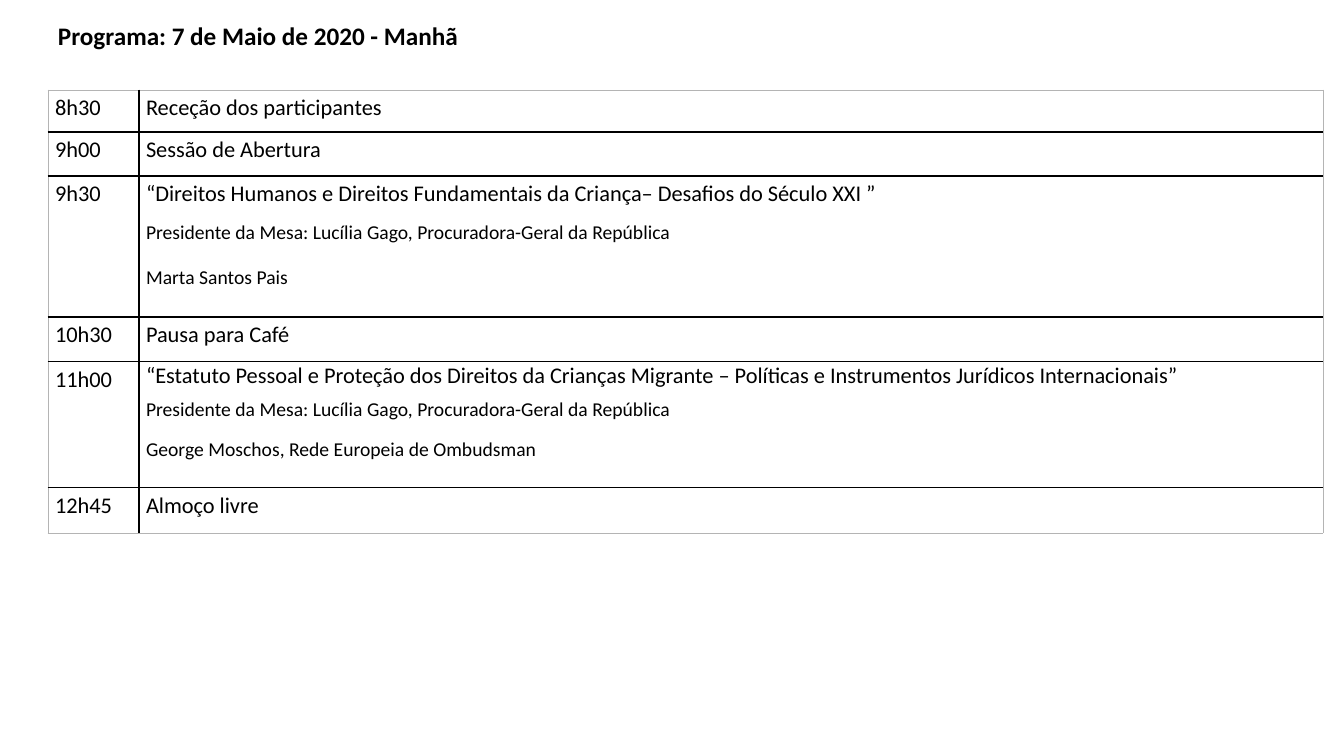
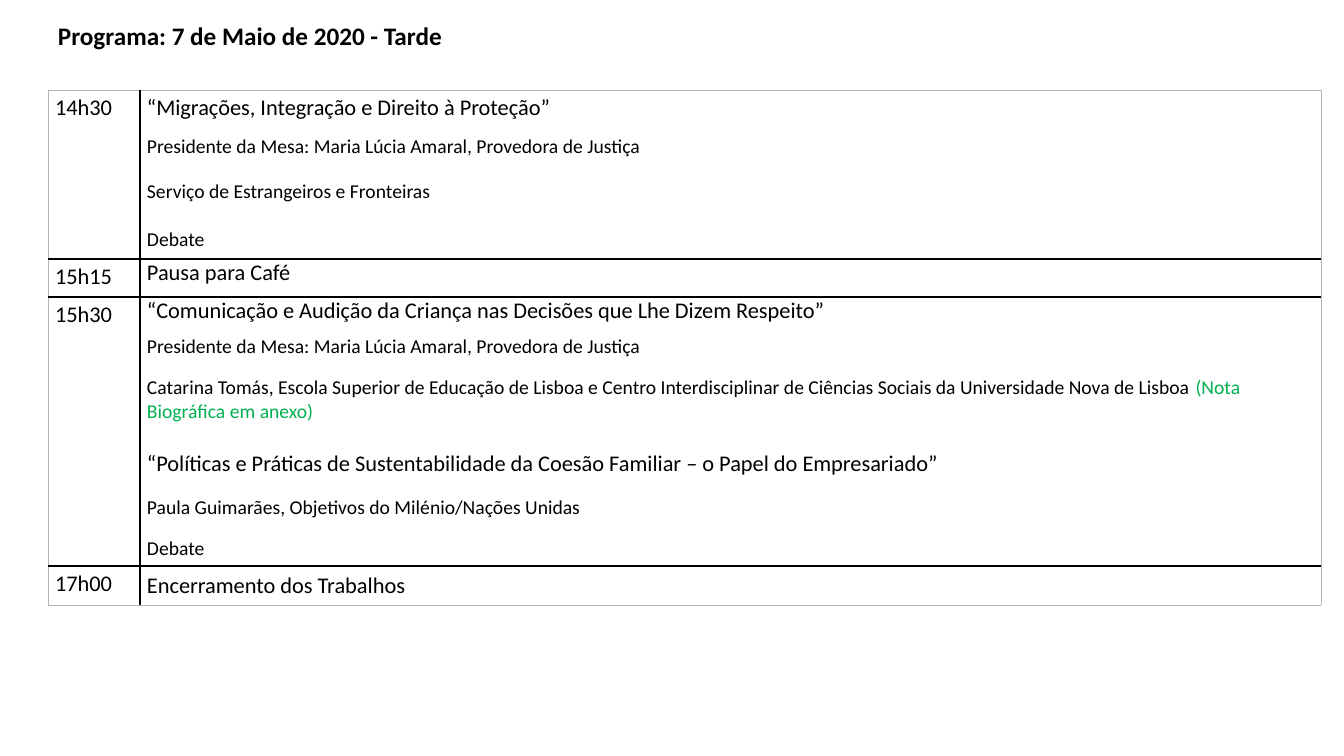
import pptx
import pptx.util
import pptx.dml.color
import pptx.enum.text
import pptx.oxml
import lxml.etree

BLACK = pptx.dml.color.RGBColor(0, 0, 0)
GREEN = pptx.dml.color.RGBColor(0x00, 0xB0, 0x50)
GREY = pptx.dml.color.RGBColor(0xB4, 0xB4, 0xB4)
FONT = "Calibri"
TOPIC, DETAIL = 16, 14
LOOSE, TIGHT = 1.15, 1.0
LINE_HEIGHT = 1.22
TOP = pptx.enum.text.MSO_ANCHOR.TOP
MIDDLE = pptx.enum.text.MSO_ANCHOR.MIDDLE

# Each line is text, size, size of the gap above it, green note.
PROGRAMME = [
    {
        "title": "Programa: 7 de Maio de 2020 - Manhã",
        "columns": (91, 1184),
        "rows": [
            ("8h30", 42, LOOSE, TOP, [("Receção dos participantes", TOPIC, 0, "")]),
            ("9h00", 44, LOOSE, TOP, [("Sessão de Abertura", TOPIC, 0, "")]),
            ("9h30", 141, LOOSE, TOP, [
                ("“Direitos Humanos e Direitos Fundamentais da Criança– Desafios do Século XXI ”", TOPIC, 0, ""),
                ("Presidente da Mesa: Lucília Gago, Procuradora-Geral da República", DETAIL, 5, ""),
                ("Marta Santos Pais", DETAIL, 9, ""),
            ]),
            ("10h30", 45, LOOSE, TOP, [("Pausa para Café", TOPIC, 0, "")]),
            ("11h00", 126, TIGHT, TOP, [
                ("“Estatuto Pessoal e Proteção dos Direitos da Crianças Migrante – "
                 "Políticas e Instrumentos Jurídicos Internacionais”", TOPIC, 0, ""),
                ("Presidente da Mesa: Lucília Gago, Procuradora-Geral da República", DETAIL, 5, ""),
                ("George Moschos, Rede Europeia de Ombudsman", DETAIL, 9.5, ""),
            ]),
            ("12h45", 45, LOOSE, TOP, [("Almoço livre", TOPIC, 0, "")]),
        ],
    },
    {
        "title": "Programa: 7 de Maio de 2020 - Tarde",
        "columns": (92, 1181),
        "rows": [
            ("14h30", 169, LOOSE, TOP, [
                ("“Migrações, Integração e Direito à Proteção”", TOPIC, 0, ""),
                ("Presidente da Mesa: Maria Lúcia Amaral, Provedora de Justiça", DETAIL, 5, ""),
                ("Serviço de Estrangeiros e Fronteiras", DETAIL, 9, ""),
                ("Debate", DETAIL, 10.5, ""),
            ]),
            ("15h15", 38, TIGHT, TOP, [("Pausa para Café", TOPIC, 0, "")]),
            ("15h30", 269, TIGHT, TOP, [
                ("“Comunicação e Audição da Criança nas Decisões que Lhe Dizem Respeito”", TOPIC, 0, ""),
                ("Presidente da Mesa: Maria Lúcia Amaral, Provedora de Justiça", DETAIL, 6, ""),
                ("Catarina Tomás, Escola Superior de Educação de Lisboa e Centro Interdisciplinar "
                 "de Ciências Sociais da Universidade Nova de Lisboa ", DETAIL, 10, "(Nota Biográfica em anexo)"),
                ("“Políticas e Práticas de Sustentabilidade da Coesão Familiar – o Papel do Empresariado”",
                 TOPIC, 16, ""),
                ("Paula Guimarães, Objetivos do Milénio/Nações Unidas", DETAIL, 10.5, ""),
                ("Debate", DETAIL, 10, ""),
            ]),
            ("17h00", 39, TIGHT, MIDDLE, [("Encerramento dos Trabalhos", TOPIC, 0, "")]),
        ],
    },
]


def px(length):
    return pptx.util.Emu(round(length * 914400 / 100.8))


def style(para, size, bold=False):
    para.font.name = FONT
    para.font.size = pptx.util.Pt(size)
    para.font.bold = bold
    para.font.color.rgb = BLACK


def add_title(page, text):
    box = page.shapes.add_textbox(px(48), px(15), px(706), px(40))
    box.text_frame.word_wrap = True
    para = box.text_frame.paragraphs[0]
    para.text = text
    style(para, 18, True)


def add_border(cell, side, outer):
    color, width = (GREY, 0.5) if outer else (BLACK, 1)
    line = lxml.etree.SubElement(cell._tc.get_or_add_tcPr(), pptx.oxml.ns.qn("a:ln" + side),
                                 w=str(pptx.util.Pt(width)))
    fill = lxml.etree.SubElement(line, pptx.oxml.ns.qn("a:solidFill"))
    lxml.etree.SubElement(fill, pptx.oxml.ns.qn("a:srgbClr"), val=str(color))


def fill_cell(cell, lines, spacing, anchor):
    cell.margin_left = cell.margin_right = px(7)
    cell.margin_top = cell.margin_bottom = 0
    cell.vertical_anchor = anchor
    frame = cell.text_frame
    for index, (text, size, gap, note) in enumerate(lines):
        para = frame.add_paragraph() if index else frame.paragraphs[0]
        para.text = text
        style(para, size)
        para.line_spacing = spacing
        para.space_before = pptx.util.Pt(round(gap * LINE_HEIGHT * spacing, 1))
        if spacing == LOOSE:
            para.alignment = pptx.enum.text.PP_ALIGN.JUSTIFY
        if note:
            span = para.add_run()
            span.text = note
            span.font.color.rgb = GREEN


def add_schedule(page, columns, rows):
    height = sum(row[1] for row in rows)
    table = page.shapes.add_table(len(rows), 2, px(48), px(90), px(sum(columns)), px(height)).table
    table.first_row = table.horz_banding = False
    for column, width in zip(table.columns, columns):
        column.width = px(width)
    last = len(rows) - 1
    for index, (time, height, spacing, anchor, lines) in enumerate(rows):
        table.rows[index].height = px(height)
        fill_cell(table.cell(index, 0), [(time, TOPIC, 0, "")], LOOSE, TOP)
        fill_cell(table.cell(index, 1), lines, spacing, anchor)
        for position in range(2):
            cell = table.cell(index, position)
            for side, outer in (("L", position == 0), ("R", position == 1),
                                ("T", index == 0), ("B", index == last)):
                add_border(cell, side, outer)
            cell.fill.background()


deck = pptx.Presentation()
deck.slide_width, deck.slide_height = px(1344), px(756)
for session in PROGRAMME:
    page = deck.slides.add_slide(deck.slide_layouts[6])
    add_title(page, session["title"])
    add_schedule(page, session["columns"], session["rows"])
deck.save("out.pptx")
